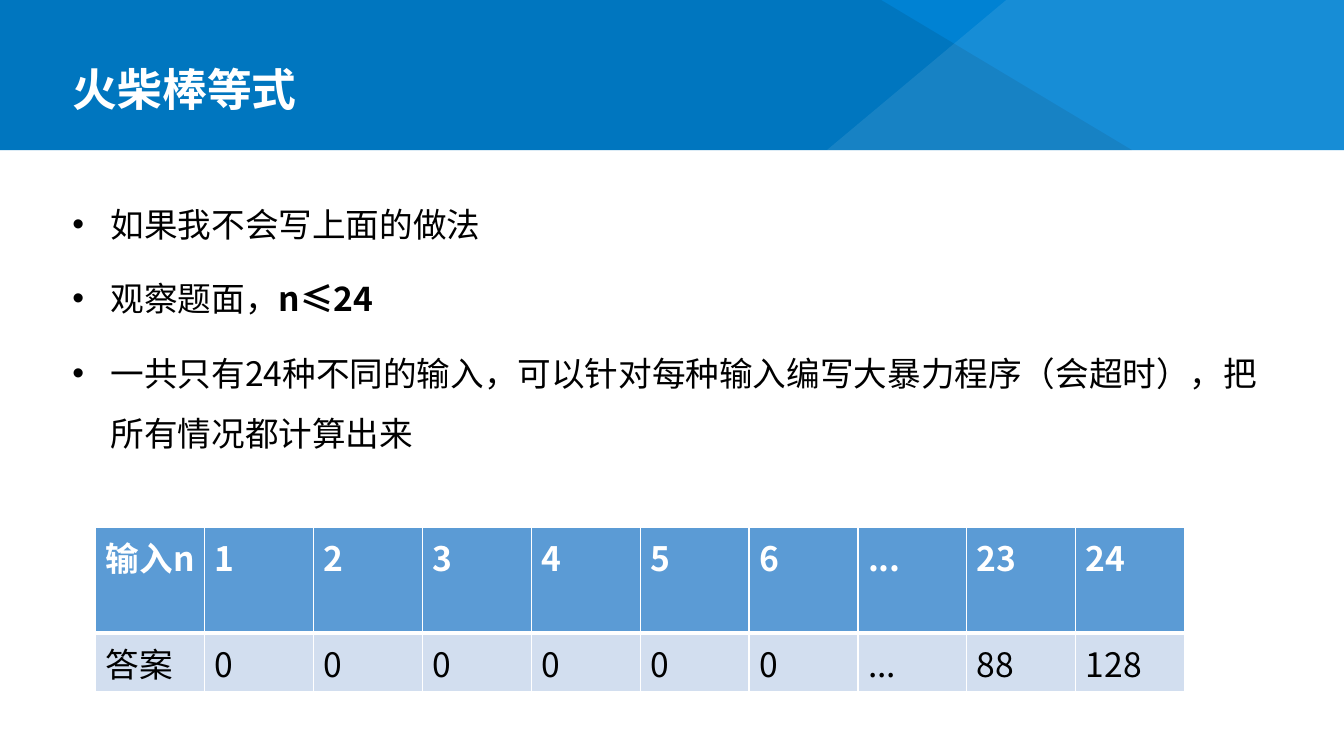
import pptx
import pptx.util
import pptx.dml.color
import pptx.enum.text
import pptx.enum.shapes
import pptx.oxml.ns
import lxml.etree

Inches = pptx.util.Inches
Pt = pptx.util.Pt
Color = pptx.dml.color.RGBColor

FONT = "Noto Sans CJK SC"
BLUE = Color(0x00, 0x82, 0xD3)
HEAD = Color(0x5B, 0x9B, 0xD5)
PALE = Color(0xD2, 0xDE, 0xEF)
BLACK = Color(0, 0, 0)
WHITE = Color(255, 255, 255)

WIDE = 13.33
BAND = 1.49
DARK = [(0, 0), (8.74, 0), (11.23, BAND), (0, BAND)]
LIGHT = [(9.98, 0), (WIDE, 0), (WIDE, BAND), (8.2, BAND)]

POINTS = [
    [("如果我不会写上面的做法", False)],
    [("观察题面，", False), ("n≤24", True)],
    [("一共只有24种不同的输入，可以针对每种输入编写大暴力程序（会超时），把所有情况都计算出来", False)],
]
ROWS = [
    ["输入n", "1", "2", "3", "4", "5", "6", "...", "23", "24"],
    ["答案", "0", "0", "0", "0", "0", "0", "...", "88", "128"],
]
TALL = [1.05, 0.58]


def add_sub(parent, tag, **attrs):
    return lxml.etree.SubElement(parent, pptx.oxml.ns.qn(tag), attrs)


def add_run(para, text, size, color, bold=False):
    run = para.add_run()
    run.text = text
    font = run.font
    font.size, font.bold, font.name = Pt(size), bold, FONT
    font.color.rgb = color
    add_sub(font._element, "a:ea", typeface=FONT)


def paint(shape, color):
    shape.shadow.inherit = False
    shape.fill.solid()
    shape.fill.fore_color.rgb = color
    shape.line.fill.background()


def add_band(slide):
    rect = pptx.enum.shapes.MSO_SHAPE.RECTANGLE
    band = slide.shapes.add_shape(rect, 0, 0, Inches(WIDE), Inches(BAND))
    paint(band, BLUE)


def add_facet(slide, points, color):
    spots = [(Inches(x), Inches(y)) for x, y in points]
    pen = slide.shapes.build_freeform(*spots[0])
    pen.add_line_segments(spots[1:], close=True)
    facet = pen.convert_to_shape()
    paint(facet, color)
    tint = next(facet.element.spPr.iter(pptx.oxml.ns.qn("a:srgbClr")))
    add_sub(tint, "a:alpha", val="9000")


def set_title(slide, text):
    title = slide.shapes.title
    title.left, title.top = Inches(0.62), Inches(0.62)
    title.width, title.height = Inches(9.69), Inches(0.62)
    frame = title.text_frame
    frame.margin_top, frame.margin_bottom = Inches(0.05), 0
    frame.vertical_anchor = pptx.enum.text.MSO_ANCHOR.TOP
    para = frame.paragraphs[0]
    para.alignment = pptx.enum.text.PP_ALIGN.LEFT
    para.line_spacing = 0.9
    add_run(para, text, 32, WHITE, True)
    title.element.getparent().append(title.element)


def add_list(slide, points):
    box = slide.shapes.add_textbox(Inches(0.62), Inches(1.77), Inches(12.07), Inches(5.1))
    frame = box.text_frame
    frame.word_wrap = True
    for num, parts in enumerate(points):
        para = frame.add_paragraph() if num else frame.paragraphs[0]
        para.line_spacing = 1.5
        if num:
            para.space_before = Pt(10)
        props = para._p.get_or_add_pPr()
        props.set("marL", str(Inches(0.38)))
        props.set("indent", str(-Inches(0.38)))
        add_sub(props, "a:buFont", typeface="Arial")
        add_sub(props, "a:buChar", char="•")
        for text, bold in parts:
            add_run(para, text, 24, BLACK, bold)


def set_edges(cell, low):
    props = cell._tc.get_or_add_tcPr()
    edges = [("a:lnL", 1), ("a:lnR", 1), ("a:lnT", 1), ("a:lnB", low)]
    for spot, (tag, width) in enumerate(edges):
        line = lxml.etree.Element(pptx.oxml.ns.qn(tag), w=str(Pt(width)))
        fill = add_sub(line, "a:solidFill")
        add_sub(fill, "a:srgbClr", val=str(WHITE))
        props.insert(spot, line)


def add_grid(slide, rows):
    count = len(rows[0])
    frame = slide.shapes.add_table(
        len(rows), count, Inches(0.95), Inches(5.23), Inches(1.08 * count), Inches(sum(TALL)))
    styles = [(HEAD, WHITE, True, 3), (PALE, BLACK, False, 1)]
    for row, (texts, style) in enumerate(zip(rows, styles)):
        back, color, bold, low = style
        frame.table.rows[row].height = Inches(TALL[row])
        for col, text in enumerate(texts):
            cell = frame.table.cell(row, col)
            cell.fill.solid()
            cell.fill.fore_color.rgb = back
            set_edges(cell, low)
            add_run(cell.text_frame.paragraphs[0], text, 24, color, bold)


def main():
    deck = pptx.Presentation()
    deck.slide_width, deck.slide_height = Inches(WIDE), Inches(7.5)
    slide = deck.slides.add_slide(deck.slide_layouts[5])
    add_band(slide)
    add_facet(slide, DARK, BLACK)
    add_facet(slide, LIGHT, WHITE)
    set_title(slide, "火柴棒等式")
    add_list(slide, POINTS)
    add_grid(slide, ROWS)
    deck.save("out.pptx")


if __name__ == "__main__":
    main()
